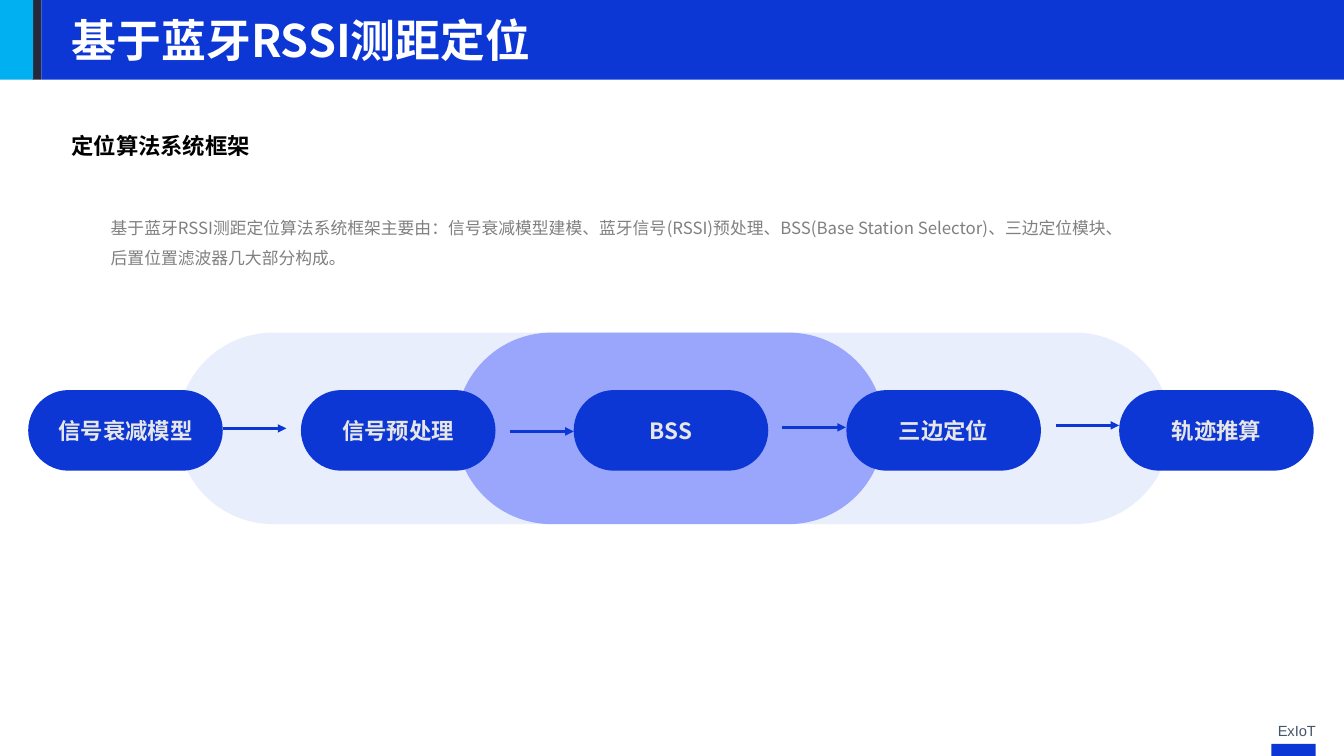
from lxml import etree
from pptx import Presentation
from pptx.dml.color import RGBColor
from pptx.enum.shapes import MSO_CONNECTOR, MSO_SHAPE
from pptx.enum.text import MSO_ANCHOR, PP_ALIGN
from pptx.oxml.ns import qn
from pptx.util import Inches, Pt

RECT, ROUND = MSO_SHAPE.RECTANGLE, MSO_SHAPE.ROUNDED_RECTANGLE
STRAIGHT = MSO_CONNECTOR.STRAIGHT
LEFT, CENTER, RIGHT = PP_ALIGN.LEFT, PP_ALIGN.CENTER, PP_ALIGN.RIGHT
TOP, MIDDLE = MSO_ANCHOR.TOP, MSO_ANCHOR.MIDDLE
SANS = "Noto Sans CJK SC"
BLUE = "0D37D4"

prs = Presentation()
prs.slide_width, prs.slide_height = Inches(13.33), Inches(7.5)
s = prs.slides.add_slide(prs.slide_layouts[5])


def add_block(kind, x, y, w, h, color):
    sp = s.shapes.add_shape(kind, Inches(x), Inches(y), Inches(w), Inches(h))
    sp.shadow.inherit = False
    sp.fill.solid()
    sp.fill.fore_color.rgb = RGBColor.from_string(color)
    sp.line.fill.background()
    if kind == ROUND:
        sp.adjustments[0] = 0.5
    return sp


def write(sp, text, size, color, bold=False, font=SANS, align=LEFT, anchor=TOP):
    tf = sp.text_frame
    tf.text = text
    tf.word_wrap = True
    tf.vertical_anchor = anchor
    p = tf.paragraphs[0]
    p.alignment = align
    r = p.runs[0]
    r.font.name, r.font.size, r.font.bold = font, Pt(size), bold
    r.font.color.rgb = RGBColor.from_string(color)
    etree.SubElement(r.font._element, qn("a:ea"), typeface=font)
    return p


# Header bar and footer mark
for x, y, w, h, color in [
    (0.32, 0, 0.09, 0.79, "26293A"),
    (0, 0, 0.33, 0.79, "00B0F0"),
    (0.41, 0, 12.92, 0.79, BLUE),
    (12.61, 7.38, 0.44, 0.12, BLUE),
]:
    add_block(RECT, x, y, w, h, color)

# Title, brought in front of the header bar
title = s.shapes.title
title.left, title.top = Inches(0.61), Inches(0.07)
title.width, title.height = Inches(7.09), Inches(0.64)
write(title, "基于蓝牙RSSI测距定位", 32, "FFFFFF", bold=True, anchor=MIDDLE)
title.element.getparent().append(title.element)

# Subtitle, description and footer text
subtitle = s.shapes.add_textbox(Inches(0.61), Inches(1.26), Inches(9.66), Inches(0.37))
write(subtitle, "定位算法系统框架", 16, "000000", bold=True)

description = s.shapes.add_textbox(Inches(1), Inches(2.01), Inches(10.14), Inches(0.67))
p = write(
    description,
    "基于蓝牙RSSI测距定位算法系统框架主要由：信号衰减模型建模、蓝牙信号(RSSI)预处理、"
    "BSS(Base Station Selector)、三边定位模块、后置位置滤波器几大部分构成。",
    12, "808080",
)
p.line_spacing = 1.5
p.space_before = Pt(6)

footer = s.shapes.add_textbox(Inches(12.26), Inches(7.11), Inches(0.89), Inches(0.28))
write(footer, "ExIoT", 10.5, "44546A", font="Arial", align=RIGHT)

# Background capsules
add_block(ROUND, 1.76, 3.3, 9.85, 1.9, "E9EEFD")
add_block(ROUND, 4.52, 3.3, 4.25, 1.9, "99A6FC")

# Evenly spaced stages
STAGES = ["信号衰减模型", "信号预处理", "BSS", "三边定位", "轨迹推算"]
START, PITCH = 0.28, 2.705
for i, stage in enumerate(STAGES):
    sp = add_block(ROUND, START + i * PITCH, 3.87, 1.93, 0.8, BLUE)
    write(sp, stage, 16, "E7E6E6", bold=True, align=CENTER, anchor=MIDDLE)

# Arrows between the stages
for x, y in [(2.21, 4.25), (5.06, 4.28), (7.76, 4.24), (10.47, 4.22)]:
    arrow = s.shapes.add_connector(
        STRAIGHT, Inches(x), Inches(y), Inches(x + 0.63), Inches(y))
    arrow.line.color.rgb = RGBColor.from_string(BLUE)
    arrow.line.width = Pt(2)
    etree.SubElement(arrow.line._get_or_add_ln(), qn("a:tailEnd"), type="triangle")
    etree.SubElement(arrow.element.spPr, qn("a:effectLst"))

prs.save("out.pptx")
